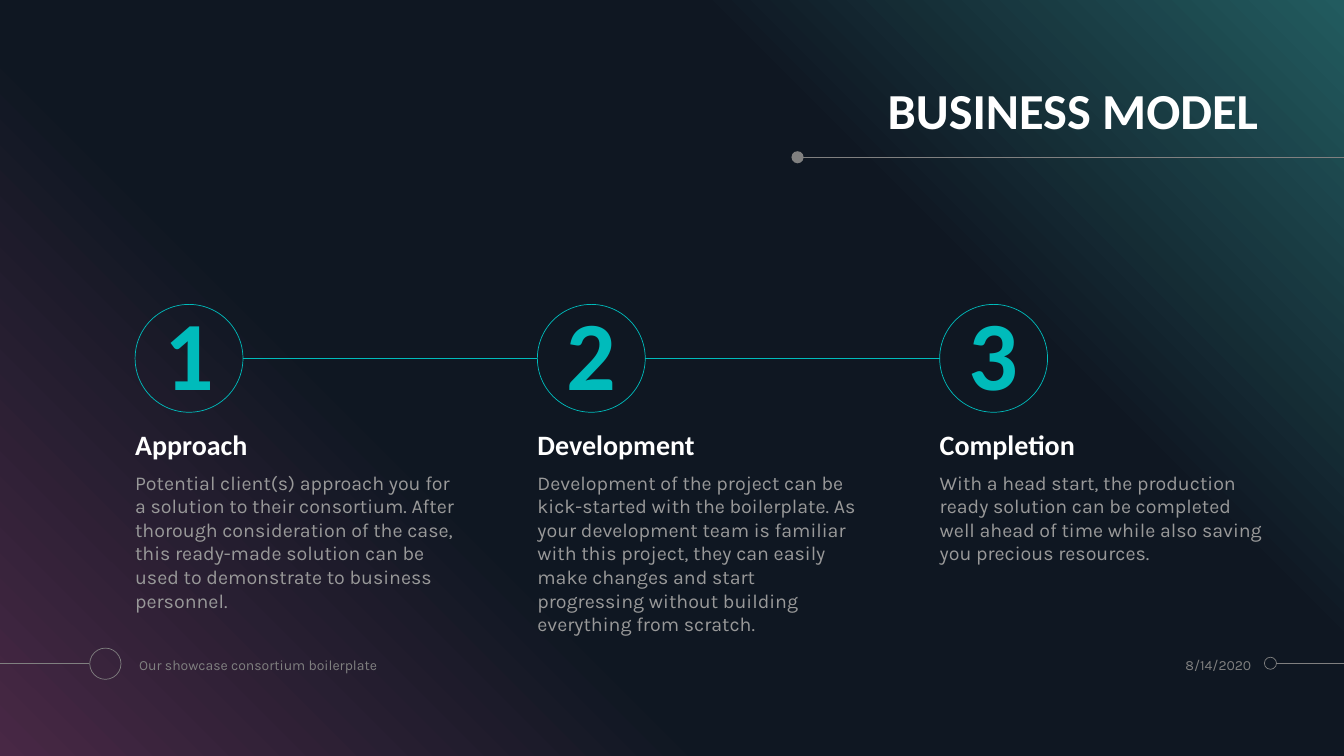
"""Builds the "Business model" slide: three numbered steps on a dark gradient."""
from copy import deepcopy

from lxml.etree import SubElement
from pptx import Presentation
from pptx.dml.color import RGBColor
from pptx.enum.shapes import MSO_CONNECTOR, MSO_SHAPE
from pptx.enum.text import MSO_ANCHOR, PP_ALIGN
from pptx.oxml.ns import qn
from pptx.util import Inches, Pt

WIDTH, HEIGHT = 13.33, 7.5
TEAL, GRAY, WHITE, BODY_GRAY = "00BBBB", "808080", "FFFFFF", "999999"
BACKDROP = [(0, "482845"), (0.34, "0F1722"), (0.69, "0F1722"), (1, "225B5F")]
FIRST_LEFT, COLUMN_STEP, COLUMN_WIDTH = 1.34, 3.99, 3.22
CIRCLE_TOP, CIRCLE_SIZE = 3.02, 1.07
STEPS = [
    ("Approach", "Potential client(s) approach you for a solution to their consortium. "
     "After thorough consideration of the case, this ready-made solution can be used "
     "to demonstrate to business personnel."),
    ("Development", "Development of the project can be kick-started with the boilerplate. "
     "As your development team is familiar with this project, they can easily make changes "
     "and start progressing without building everything from scratch."),
    ("Completion", "With a head start, the production ready solution can be completed "
     "well ahead of time while also saving you precious resources."),
]


def color(hex_string):
    """Turn a hex string into a colour."""
    return RGBColor.from_string(hex_string)


def write(shape, text, size, font, hex_string, align=PP_ALIGN.LEFT,
          anchor=MSO_ANCHOR.MIDDLE, bold=False, spacing=None):
    """Put one formatted paragraph without margins into a shape."""
    frame = shape.text_frame
    frame.text = text
    frame.word_wrap = True
    frame.vertical_anchor = anchor
    frame.margin_left = frame.margin_right = frame.margin_top = frame.margin_bottom = 0
    paragraph = frame.paragraphs[0]
    paragraph.alignment = align
    paragraph.line_spacing = spacing
    run_font = paragraph.runs[0].font
    run_font.name, run_font.size, run_font.bold = font, Pt(size), bold
    run_font.color.rgb = color(hex_string)


presentation = Presentation()
presentation.slide_width, presentation.slide_height = Inches(WIDTH), Inches(HEIGHT)
slide = presentation.slides.add_slide(presentation.slide_layouts[6])
slide.background.fill.solid()
slide.background.fill.fore_color.rgb = color("000000")
shapes = slide.shapes

backdrop = shapes.add_shape(MSO_SHAPE.RECTANGLE, 0, 0, Inches(WIDTH), Inches(HEIGHT))
backdrop.shadow.inherit = False
backdrop.line.fill.background()
backdrop.fill.gradient()
backdrop.fill.gradient_angle = 45
stop_list = backdrop._element.spPr.find(".//" + qn("a:gsLst"))
for _ in BACKDROP[2:]:
    stop_list.append(deepcopy(stop_list[0]))
for stop, (position, stop_color) in zip(backdrop.fill.gradient_stops, BACKDROP):
    stop.position = position
    stop.color.rgb = color(stop_color)

column_lefts = [FIRST_LEFT + COLUMN_STEP * index for index in range(len(STEPS))]
circle_middle = CIRCLE_TOP + CIRCLE_SIZE / 2
lines = [(7.94, 1.56, WIDTH, GRAY), (12.66, 6.58, WIDTH, GRAY), (0, 6.58, 0.88, GRAY)]
lines += [(left + CIRCLE_SIZE, circle_middle, following, TEAL)
          for left, following in zip(column_lefts, column_lefts[1:])]
for start, top, end, line_color in lines:
    connector = shapes.add_connector(
        MSO_CONNECTOR.STRAIGHT, Inches(start), Inches(top), Inches(end), Inches(top))
    connector.line.color.rgb = color(line_color)
    connector.line.width = Pt(0.5)
    SubElement(connector._element.spPr, qn("a:effectLst"))

circles = [(7.85, 1.5, 0.12, GRAY, True), (12.54, 6.52, 0.12, GRAY, False),
           (0.89, 6.43, 0.31, GRAY, False)]
circles += [(left, CIRCLE_TOP, CIRCLE_SIZE, TEAL, False) for left in column_lefts]
step_circles = []
for left, top, size, circle_color, filled in circles:
    circle = shapes.add_shape(
        MSO_SHAPE.OVAL, Inches(left), Inches(top), Inches(size), Inches(size))
    circle.shadow.inherit = False
    if filled:
        circle.fill.solid()
        circle.fill.fore_color.rgb = color(circle_color)
        circle.line.fill.background()
    else:
        circle.fill.background()
        circle.line.color.rgb = color(circle_color)
        circle.line.width = Pt(0.5)
    if circle_color == TEAL:
        step_circles.append(circle)

for number, circle in enumerate(step_circles, start=1):
    write(circle, str(number), 70, "Calibri", TEAL, PP_ALIGN.CENTER, bold=True, spacing=0.9)

heading_style = dict(font="Calibri", hex_string=WHITE, anchor=MSO_ANCHOR.BOTTOM,
                     bold=True, spacing=0.9)
footer_style = dict(size=10, font="Karla", hex_string=GRAY)
texts = [
    (5.58, 0.77, 6.9, 0.62, "BUSINESS MODEL",
     dict(heading_style, size=36, align=PP_ALIGN.RIGHT)),
    (1.38, 6.43, 2.99, 0.33, "Our showcase consortium boilerplate", footer_style),
    (10.95, 6.43, 1.46, 0.33, "8/14/2020", dict(footer_style, align=PP_ALIGN.RIGHT)),
]
for left, (heading, description) in zip(column_lefts, STEPS):
    texts.append((left, 4.22, COLUMN_WIDTH, 0.36, heading, dict(heading_style, size=20)))
    texts.append((left, 4.67, COLUMN_WIDTH, 1.55, description,
                  dict(size=14, font="Karla", hex_string=BODY_GRAY, anchor=MSO_ANCHOR.TOP)))
for left, top, width, height, text, style in texts:
    box = shapes.add_textbox(Inches(left), Inches(top), Inches(width), Inches(height))
    write(box, text, **style)

presentation.save("out.pptx")
